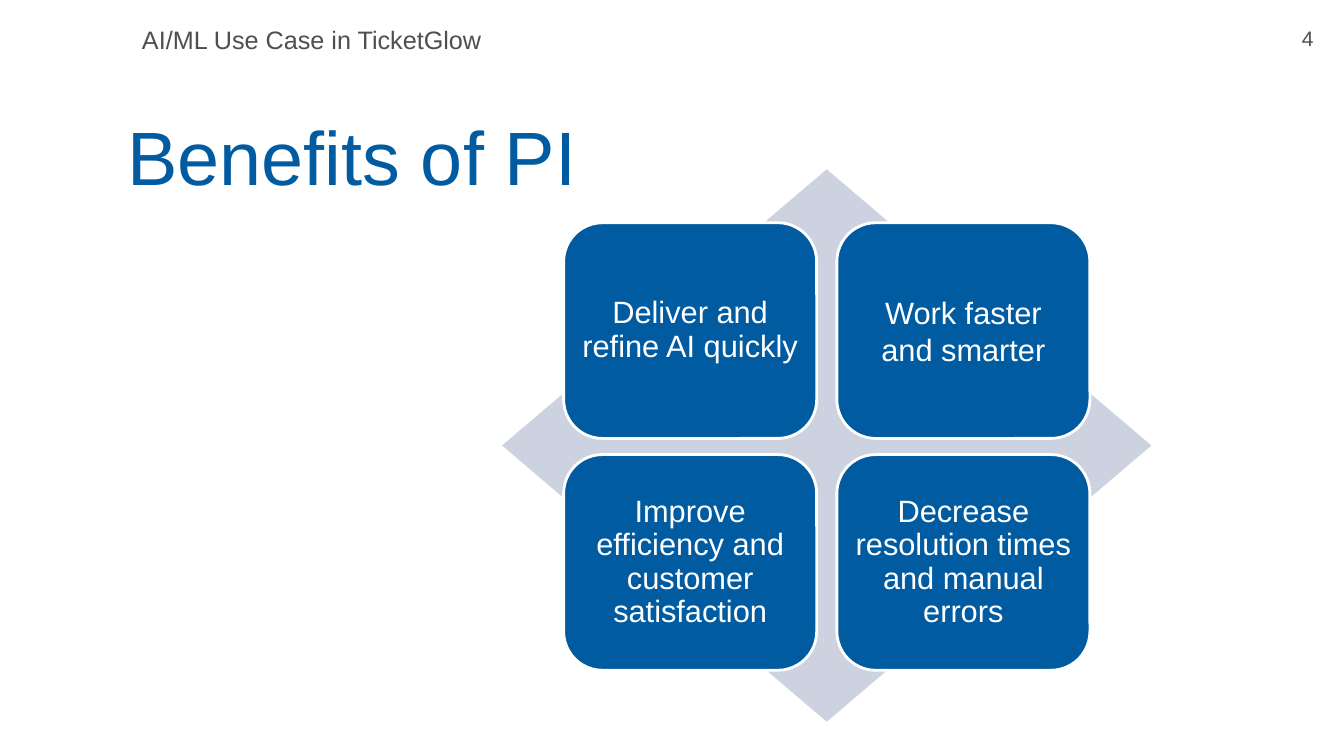
from pptx import Presentation
from pptx.dml.color import RGBColor
from pptx.enum.shapes import MSO_SHAPE
from pptx.enum.text import MSO_ANCHOR, MSO_AUTO_SIZE, PP_ALIGN
from pptx.util import Inches, Pt

COLORS = {"blue": "005BA1", "pale": "CCD2E0", "gray": "4F4F4F", "white": "FFFFFF"}


def write_text(shape, text, size, color, alignment, anchor):
    frame = shape.text_frame
    frame.text = text
    frame.word_wrap = True
    frame.auto_size = MSO_AUTO_SIZE.NONE
    frame.vertical_anchor = anchor
    paragraph = frame.paragraphs[0]
    paragraph.alignment = alignment
    paragraph.font.name = "Arial"
    paragraph.font.size = Pt(size)
    paragraph.font.color.rgb = RGBColor.from_string(COLORS[color])
    return paragraph


def add_plain_shape(kind, left, top, width, height, fill):
    """Add a preset shape with a solid fill, no line and no shadow."""
    shape = slide.shapes.add_shape(
        kind, Inches(left), Inches(top), Inches(width), Inches(height))
    shape.shadow.inherit = False
    shape.fill.solid()
    shape.fill.fore_color.rgb = RGBColor.from_string(COLORS[fill])
    shape.line.fill.background()
    return shape


presentation = Presentation()
presentation.slide_width = Inches(13.33)
presentation.slide_height = Inches(7.5)
slide = presentation.slides.add_slide(presentation.slide_layouts[5])

# Title and header
title = slide.shapes.title
title.left, title.top = Inches(0.57), Inches(0.69)
title.width, title.height = Inches(5.84), Inches(1.35)
write_text(title, "Benefits of PI", 54, "blue", PP_ALIGN.CENTER, MSO_ANCHOR.BOTTOM)

header = slide.shapes.add_textbox(Inches(1.31), Inches(0.19), Inches(6.92), Inches(0.4))
write_text(header, "AI/ML Use Case in TicketGlow", 18, "gray", PP_ALIGN.LEFT, MSO_ANCHOR.TOP)

page_number = slide.shapes.add_textbox(Inches(12.61), Inches(0.2), Inches(0.72), Inches(0.35))
write_text(page_number, "4", 15, "gray", PP_ALIGN.CENTER, MSO_ANCHOR.TOP)

# Benefit matrix over a diamond
add_plain_shape(MSO_SHAPE.DIAMOND, 4.98, 1.68, 6.44, 5.48, "pale")

TILE_LEFT, TILE_TOP = 5.59, 2.21
TILE_WIDTH, TILE_HEIGHT = 2.51, 2.14
COLUMN_STEP, ROW_STEP = 2.71, 2.3
benefits = [
    ("Deliver and refine AI quickly", 0.9),
    ("Work faster and smarter", 1.0),
    ("Improve efficiency and customer satisfaction", 0.9),
    ("Decrease resolution times and manual errors", 0.9),
]
for index, (benefit, line_spacing) in enumerate(benefits):
    row, column = divmod(index, 2)
    tile = add_plain_shape(
        MSO_SHAPE.ROUNDED_RECTANGLE,
        TILE_LEFT + column * COLUMN_STEP, TILE_TOP + row * ROW_STEP,
        TILE_WIDTH, TILE_HEIGHT, "blue")
    tile.adjustments[0] = 0.18
    tile.line.color.rgb = RGBColor.from_string(COLORS["white"])
    tile.line.width = Pt(2)
    frame = tile.text_frame
    frame.margin_left = frame.margin_right = Inches(0.07)
    frame.margin_top = frame.margin_bottom = Inches(0.07)
    paragraph = write_text(tile, benefit, 22, "white", PP_ALIGN.CENTER, MSO_ANCHOR.MIDDLE)
    paragraph.line_spacing = line_spacing

presentation.save("out.pptx")
